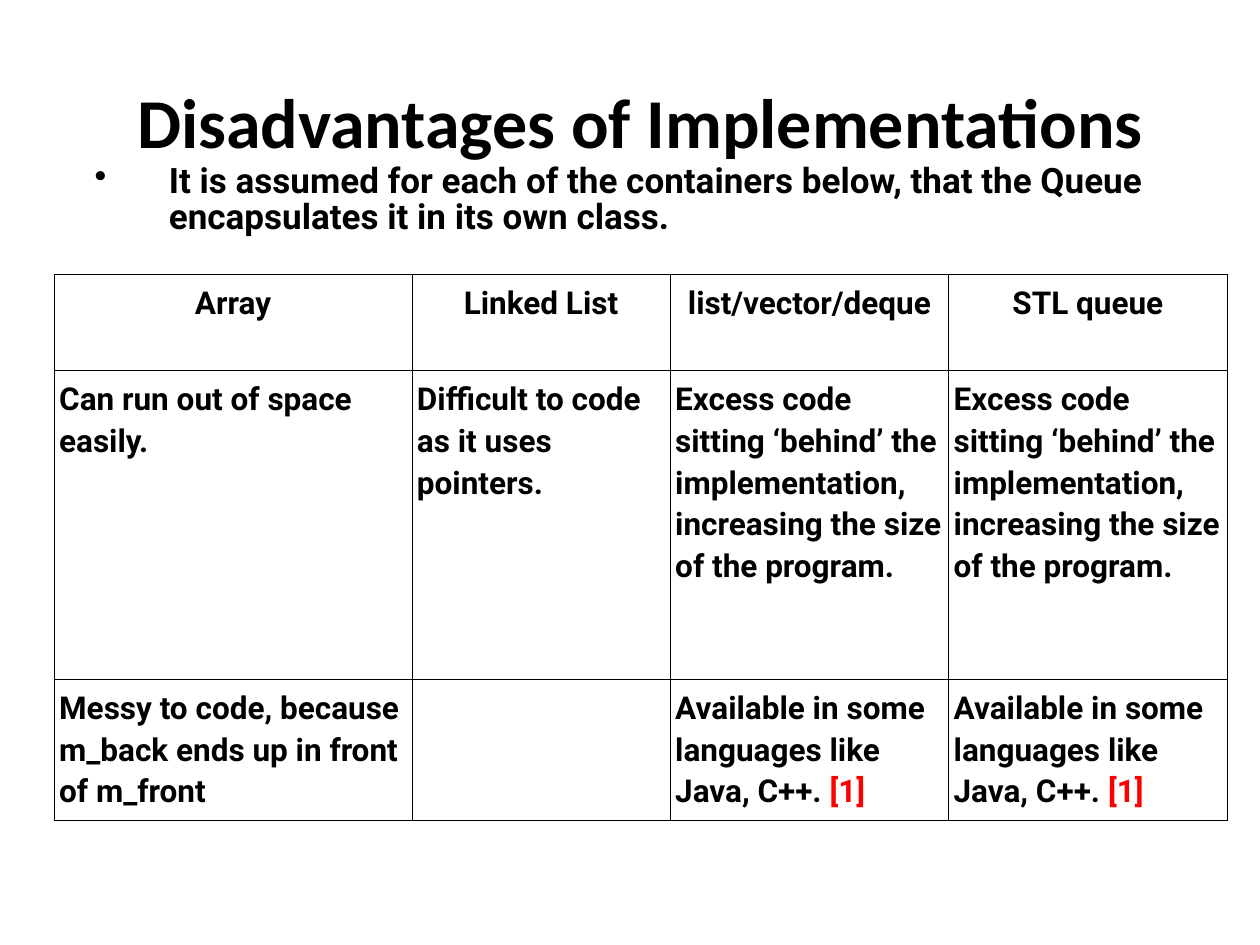
from lxml import etree
from pptx import Presentation
from pptx.dml.color import RGBColor
from pptx.enum.text import MSO_ANCHOR, PP_ALIGN
from pptx.oxml.ns import qn
from pptx.util import Inches, Pt

LEFT, CENTER = PP_ALIGN.LEFT, PP_ALIGN.CENTER
TOP, MIDDLE = MSO_ANCHOR.TOP, MSO_ANCHOR.MIDDLE

COLORS = {"ink": "000000", "cite": "FF0000"}
HEAD = {"size": Pt(40), "name": "Calibri", "bold": True}
NOTE = {"size": Pt(20), "name": "Roboto", "bold": True}
BODY = {"size": Pt(18), "name": "Roboto", "bold": True}
INSETS = {"margin_left": Inches(0.04), "margin_right": Inches(0.04),
          "margin_top": Inches(0.05), "margin_bottom": Inches(0.05)}
FLUSH = dict.fromkeys(INSETS, 0)

EXCESS = ("Excess code sitting ‘behind’ the implementation, "
          "increasing the size of the program.")
READY = "Available in some languages like Java, C++. "
CITE = "[1]"

# Each cell is a pair: text and citation
ROWS = [
    [("Array", ""), ("Linked List", ""),
     ("list/vector/deque", ""), ("STL queue", "")],
    [("Can run out of space easily.", ""),
     ("Difficult to code as it uses pointers.", ""),
     (EXCESS, ""), (EXCESS, "")],
    [("Messy to code, because m_back ends up in front of m_front", ""),
     ("", ""), (READY, CITE), (READY, CITE)],
]
WIDTHS = [2.84, 2.05, 2.21, 2.21]
HEIGHTS = [0.76, 2.45, 1.1]


def apply(item, values):
    for name, value in values.items():
        setattr(item, name, value)


def add_run(para, text, font, color="ink"):
    run = para.add_run()
    run.text = text
    apply(run.font, font)
    run.font.color.rgb = RGBColor.from_string(COLORS[color])


def add_box(slide, area, frame, para):
    box = slide.shapes.add_textbox(*map(Inches, area))
    apply(box.text_frame, {"word_wrap": True, **frame})
    first = box.text_frame.paragraphs[0]
    apply(first, para)
    return first


def add_bullet(para, indent):
    props = para._p.get_or_add_pPr()
    props.set("marL", str(indent))
    props.set("indent", str(-indent))
    tint = etree.SubElement(props, qn("a:buClr"))
    etree.SubElement(tint, qn("a:srgbClr"), val=COLORS["ink"])
    etree.SubElement(props, qn("a:buChar"), char="•")


def add_border(cell, widths):
    props = cell._tc.get_or_add_tcPr()
    for side, width in widths.items():
        line = etree.SubElement(props, qn(f"a:ln{side}"), w=str(Pt(width)))
        fill = etree.SubElement(line, qn("a:solidFill"))
        etree.SubElement(fill, qn("a:srgbClr"), val=COLORS["ink"])


def fill_cell(cell, text, cite, align):
    apply(cell, {**INSETS, "vertical_anchor": TOP})
    para = cell.text_frame.paragraphs[0]
    apply(para, {"alignment": align, "line_spacing": 1.13})
    if text:
        add_run(para, text, BODY)
    if cite:
        add_run(para, cite, BODY, "cite")


def add_grid(slide, left, top):
    rows, cols = len(HEIGHTS), len(WIDTHS)
    area = map(Inches, (left, top, sum(WIDTHS), sum(HEIGHTS)))
    table = slide.shapes.add_table(rows, cols, *area).table
    apply(table, {"first_row": False, "horz_banding": False})
    for col, width in zip(table.columns, WIDTHS):
        col.width = Inches(width)
    for row, height in zip(table.rows, HEIGHTS):
        row.height = Inches(height)

    # The outer left, right and top edges are heavier
    for r, row in enumerate(ROWS):
        for c, (text, cite) in enumerate(row):
            cell = table.cell(r, c)
            outer = {"L": c == 0, "R": c == cols - 1, "T": r == 0, "B": False}
            add_border(cell, {s: 0.5 if o else 0.23 for s, o in outer.items()})
            cell.fill.background()
            fill_cell(cell, text, cite, CENTER if r == 0 else LEFT)


def main():
    deck = Presentation()
    apply(deck, {"slide_width": Inches(10), "slide_height": Inches(7.5)})
    slide = deck.slides.add_slide(deck.slide_layouts[6])

    # Title
    title = add_box(slide, (0.83, 0.6, 8.5, 0.71),
                    {"vertical_anchor": MIDDLE}, {"alignment": CENTER})
    add_run(title, "Disadvantages of Implementations", HEAD)

    # Comparison table
    add_grid(slide, 0.43, 2.18)

    # Assumption
    note = add_box(slide, (0.75, 1.31, 8.35, 0.57), FLUSH,
                   {"line_spacing": 0.85})
    add_bullet(note, Inches(0.59))
    add_run(note, "It is assumed for each of the containers below, that the "
            "Queue encapsulates it in its own class.", NOTE)

    deck.save("out.pptx")


if __name__ == "__main__":
    main()
